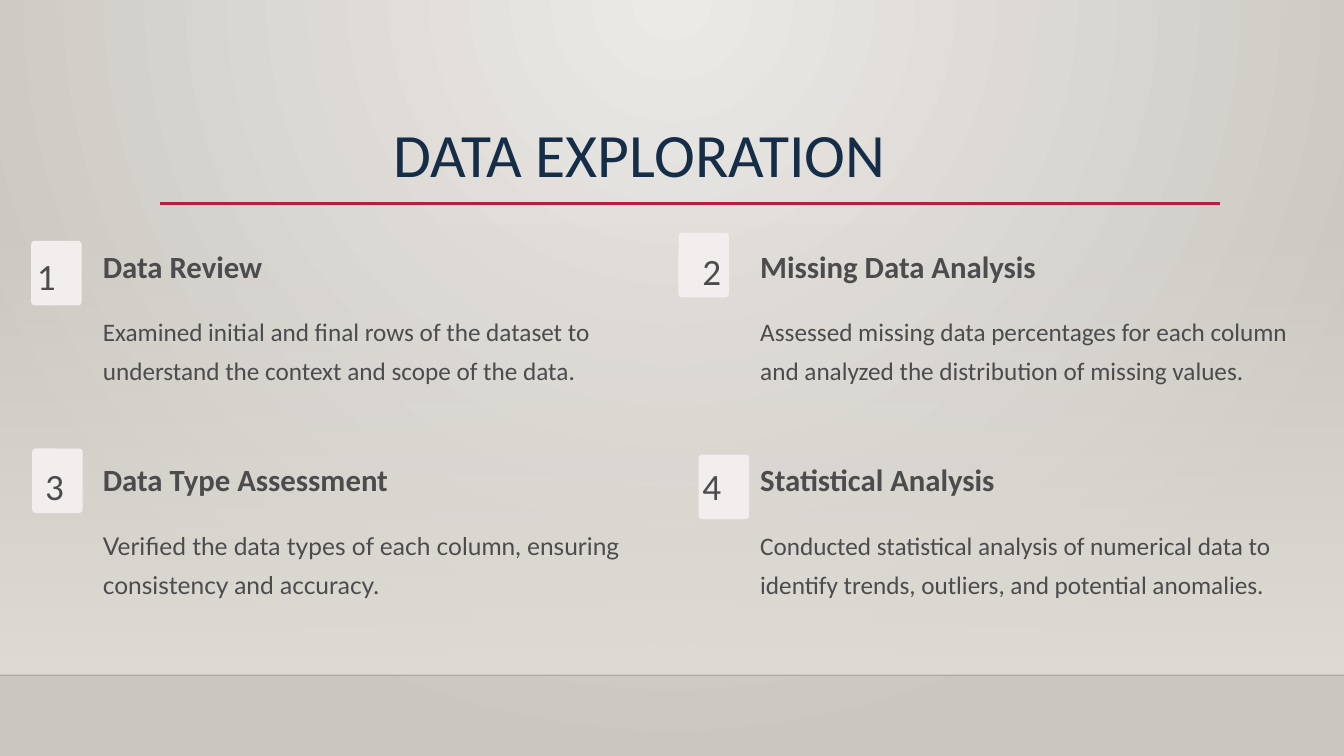
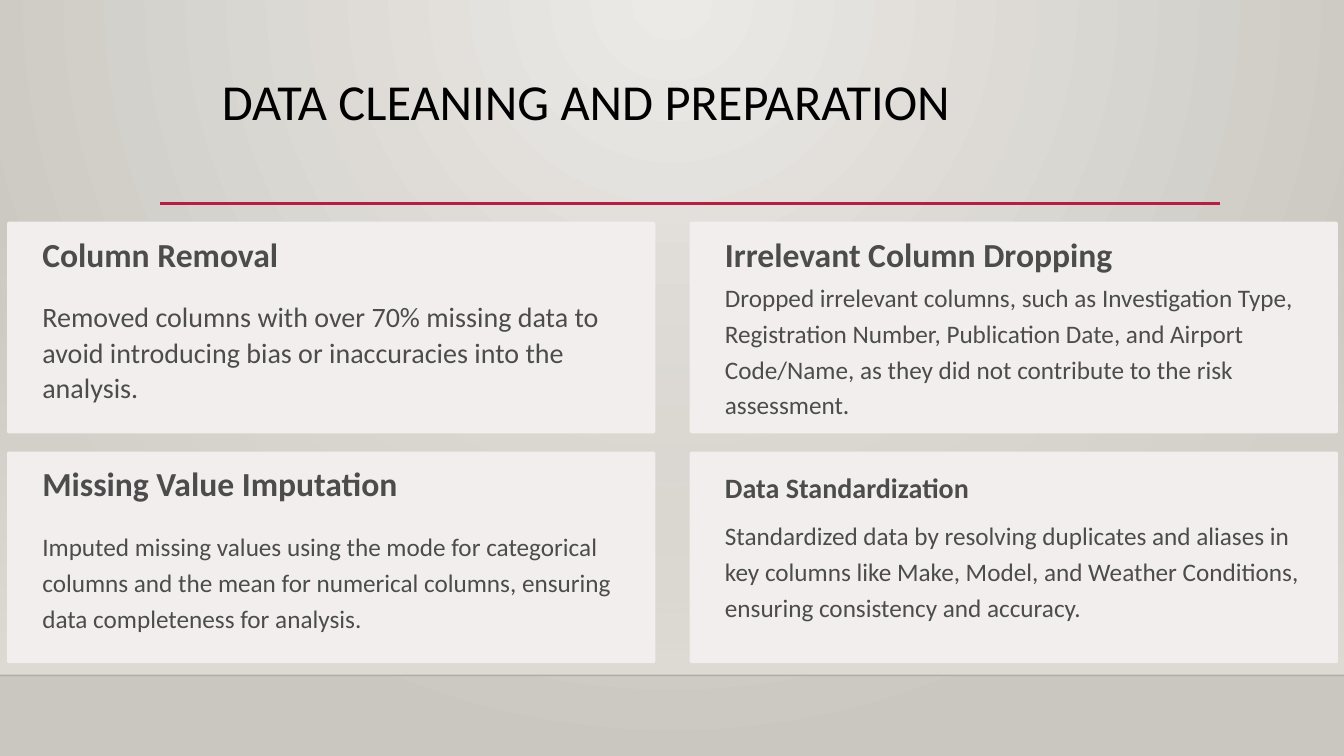
import lxml.etree
import pptx
import pptx.dml.color
import pptx.enum.dml
import pptx.enum.shapes
import pptx.enum.text
import pptx.oxml.ns
import pptx.util

Inches = pptx.util.Inches
Pt = pptx.util.Pt
RGBColor = pptx.dml.color.RGBColor
Shapes = pptx.enum.shapes.MSO_SHAPE
Align = pptx.enum.text.PP_ALIGN
qn = pptx.oxml.ns.qn

# Shared look
GLOW = RGBColor(0xEC, 0xEA, 0xE7)
EDGE = RGBColor(0xCA, 0xC7, 0xC1)
BAND = RGBColor(0xDF, 0xDB, 0xD5)
FLOOR = RGBColor(0x00, 0x00, 0x01)
RED = RGBColor(0xB7, 0x1E, 0x42)
NAVY = RGBColor(0x15, 0x2D, 0x47)
BLACK = RGBColor(0x00, 0x00, 0x00)
GREY = RGBColor(0x4C, 0x4C, 0x4D)
CARD = RGBColor(0xF2, 0xEE, 0xEE)
MAIN = "Calibri"
SECOND = "Lato"
SLIDE_WIDTH, SLIDE_HEIGHT = 13.33, 7.5
FLOOR_TOP = 6.7

# Content: a body is a list of (text, size, font)
STEPS = [
    {"heading": "Data Review", "badge": (0.31, 2.39), "digit": (0.31, 2.59),
     "body": [("Examined initial and final rows of the dataset to understand the "
               "context and scope of the data", 18, MAIN), (".", 17.5, SECOND)]},
    {"heading": "Missing Data Analysis", "badge": (6.73, 2.31), "digit": (6.91, 2.54),
     "body": [("Assessed missing data percentages for each column and analyzed the "
               "distribution of missing values.", 18, MAIN)]},
    {"heading": "Data Type Assessment", "badge": (0.32, 4.45), "digit": (0.39, 4.67),
     "body": [("Verified the data types of each column, ensuring consistency and "
               "accuracy.", 17.5, SECOND)]},
    {"heading": "Statistical Analysis", "badge": (6.93, 4.51), "digit": (6.91, 4.67),
     "body": [("Conducted statistical analysis of numerical data to identify trends, "
               "outliers, and potential anomalies.", 18, MAIN)]},
]
# body_drop is the distance from the card's top to its body
CARDS = [
    {"heading": "Column Removal", "size": 24, "body_drop": 0.75, "body_width": 5.73,
     "body": [("Removed columns with over 70% missing data to avoid introducing bias "
               "or inaccuracies into the analysis.", 20, MAIN)]},
    {"heading": "Irrelevant Column Dropping", "size": 24, "body_drop": 0.55,
     "body_width": 5.87,
     "body": [("Dropped irrelevant columns, such as Investigation Type, Registration "
               "Number, Publication Date, and Airport Code/Name, as they did not "
               "contribute to the risk assessment", 18, MAIN), (".", 18, SECOND)]},
    {"heading": "Missing Value Imputation", "size": 24, "body_drop": 0.74,
     "body_width": 5.73,
     "body": [("Imputed missing values using the mode for categorical columns and the "
               "mean for numerical columns, ensuring data completeness for analysis.",
               18, MAIN)]},
    {"heading": "Data Standardization", "size": 20, "body_drop": 0.63,
     "body_width": 5.73,
     "body": [("Standardized data by resolving duplicates and aliases in key columns "
               "like Make, Model, and Weather Conditions, ensuring consistency and "
               "accuracy.", 18, MAIN)]},
]


def set_alpha(color_parent, percent):
    color = color_parent.find(".//" + qn("a:srgbClr"))
    lxml.etree.SubElement(color, qn("a:alpha"), val=str(percent * 1000))


def set_gradient(fill, first, last):
    fill.gradient()
    for stop, color, position in zip(fill.gradient_stops, (first, last), (0, 1)):
        stop.color.rgb = color
        stop.position = position


def paint_background(master):
    set_gradient(master.background.fill, GLOW, EDGE)
    gradient = master._element.find(".//" + qn("a:gradFill"))
    gradient.remove(gradient.find(qn("a:lin")))
    circle = lxml.etree.SubElement(gradient, qn("a:path"))
    circle.set("path", "circle")
    lxml.etree.SubElement(circle, qn("a:fillToRect"),
                          l="43000", t="0", r="43000", b="100000")


def add_line(page, left, right, top, color, width):
    line = page.shapes.add_connector(pptx.enum.shapes.MSO_CONNECTOR.STRAIGHT,
                                     Inches(left), Inches(top), Inches(right), Inches(top))
    line.line.color.rgb = color
    line.line.width = Pt(width)
    lxml.etree.SubElement(line._element.spPr, qn("a:effectLst"))
    return line


def add_panel(page, kind, left, top, width, height):
    panel = page.shapes.add_shape(kind, Inches(left), Inches(top),
                                  Inches(width), Inches(height))
    panel.shadow.inherit = False
    panel.line.fill.background()
    return panel


def add_card(page, left, top, width, height, rounding):
    card = add_panel(page, Shapes.ROUNDED_RECTANGLE, left, top, width, height)
    card.adjustments[0] = rounding
    card.fill.solid()
    card.fill.fore_color.rgb = CARD


def add_text(page, left, top, width, height, spans, spacing=None, color=GREY,
             bold=False, align=Align.LEFT):
    box = page.shapes.add_textbox(Inches(left), Inches(top), Inches(width), Inches(height))
    frame = box.text_frame
    frame.word_wrap = True
    frame.margin_left = frame.margin_right = frame.margin_top = frame.margin_bottom = 0
    para = frame.paragraphs[0]
    para.alignment = align
    if spacing:
        para.line_spacing = Pt(spacing)
    for text, size, font in spans:
        span = para.add_run()
        span.text = text
        span.font.size = Pt(size)
        span.font.name = font
        span.font.bold = bold
        span.font.color.rgb = color


def add_page(deck):
    page = deck.slides.add_slide(deck.slide_layouts[6])
    # Band fading in from the top, floor line, title rule
    band = add_panel(page, Shapes.RECTANGLE, 0, 2.21, SLIDE_WIDTH, FLOOR_TOP - 2.21)
    set_gradient(band.fill, BAND, BAND)
    band.fill.gradient_angle = 270
    set_alpha(band._element.spPr.find(".//" + qn("a:gs")), 0)
    floor = add_line(page, 0, SLIDE_WIDTH, FLOOR_TOP, FLOOR, 1)
    set_alpha(floor._element.spPr.find(qn("a:ln")), 20)
    add_line(page, 1.59, 12.1, 2.02, RED, 2.5)
    return page


def build_exploration(deck):
    page = add_page(deck)
    add_text(page, 3.9, 1.12, 5.54, 0.87, [("DATA EXPLORATION", 44, MAIN)], 55, NAVY)
    for index, step in enumerate(STEPS):
        row, column = divmod(index, 2)
        left, top = 1.02 + column * 6.52, 2.44 + row * 2.12
        add_card(page, *step["badge"], 0.5, 0.64, 0.07)
        add_text(page, *step["digit"], 0.3, 0.43, [(str(index + 1), 26.5, MAIN)], 26.5,
                 align=Align.CENTER)
        add_text(page, left, top, 5.58, 0.44, [(step["heading"], 22, MAIN)], 27.5, bold=True)
        add_text(page, left, top + 0.61, 5.58, 0.91, step["body"], 28)


def build_cleaning(deck):
    page = add_page(deck)
    for index, card in enumerate(CARDS):
        row, column = divmod(index, 2)
        left, top = 0.07 + column * 6.77, 2.2 + row * 2.28
        add_card(page, left, top, 6.43, 2.1, 0.01)
        add_text(page, left + 0.35, top + 0.17, 5.16, 0.27,
                 [(card["heading"], card["size"], MAIN)], 25, bold=True)
        add_text(page, left + 0.35, top + card["body_drop"], card["body_width"], 1.2,
                 card["body"], 25.5)
    add_text(page, 2.2, 0.7, 9.28, 0.61, [("DATA CLEANING AND PREPARATION", 36, MAIN)],
             color=BLACK)


def main():
    deck = pptx.Presentation()
    deck.slide_width = Inches(SLIDE_WIDTH)
    deck.slide_height = Inches(SLIDE_HEIGHT)
    paint_background(deck.slide_master)
    build_exploration(deck)
    build_cleaning(deck)
    deck.save("out.pptx")


if __name__ == "__main__":
    main()
